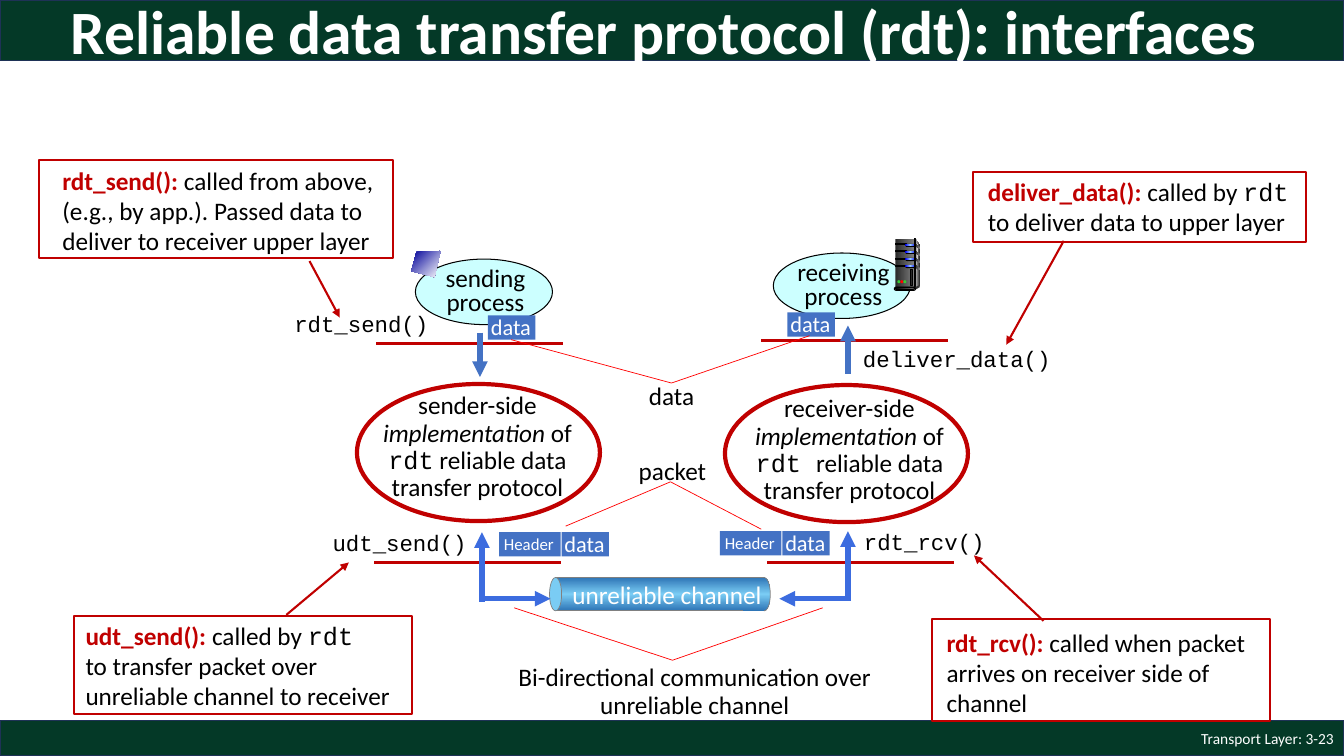
from pptx import Presentation
from pptx.dml.color import RGBColor
from pptx.enum.shapes import MSO_CONNECTOR, MSO_SHAPE as SHAPE
from pptx.enum.text import MSO_ANCHOR as ANCHOR, MSO_AUTO_SIZE, PP_ALIGN as ALIGN
from pptx.oxml.ns import qn
from pptx.util import Inches, Pt
from lxml.etree import SubElement

C = dict(green="043927", navy="1E3256", red="C00000", thin="FF0000", blue="4472C4",
         arrow="3C6CDF", cyan="CCFFFF", sky="7ACCF4", deep="2E75B6", black="000000",
         white="FFFFFF", gray="808080", coal="292929", dark="333333", light="DDDDDD",
         pale="F8F8F8", lamp="33CC33", led="0000FF", shine="99CCFF", ink="000099")

# Content: runs are (text, style), style b = red bold, i = italic, m = monospace
TITLE = "Reliable data transfer protocol (rdt): interfaces"
FOOTER = "Transport Layer: 3-23"
PROCESSES = [(4.12, 2.57, "sending process"), (7.67, 2.51, "receiving process")]
PROTOCOLS = [  # ellipse corner, text corner, side, mono run, rest
    (3.54, 3.81, 3.64, 3.85, "sender-side", "rdt", " reliable data transfer protocol"),
    (7.19, 3.82, 7.33, 3.88, "receiver-side", "rdt ", "reliable data transfer protocol"),
]
CALLS = [(2.82, 3.03, 1.85, "rdt_send()"), (3.2, 5.2, 1.85, "udt_send()"),
         (8.47, 5.19, 1.85, "rdt_rcv()"), (8.46, 3.38, 2.12, "deliver_data()")]
DATA_CHIPS = [(4.84, 3.13), (7.81, 3.1), (5.57, 5.28), (7.76, 5.27)]
HEADER_CHIPS = [(4.95, 5.28), (7.14, 5.27)]
LAYER_LINES = [(3.73, 3.41), (7.55, 3.38), (3.71, 5.58), (7.61, 5.58)]
DATA_ARROWS = [(4.76, 3.3, 4.76, 3.74), (8.41, 3.71, 8.41, 3.23)]
CHANNEL_ARROWS = [(4.78, 5.97, 4.78, 5.28), (4.77, 5.94, 5.46, 5.94),
                  (8.42, 5.94, 7.73, 5.94), (8.41, 5.96, 8.41, 5.27)]
CALLOUTS = [  # frame, text box, arrow, paragraphs
    ((0.39, 1.59, 3.51, 0.97), (0.52, 1.59, 3.29, 1.01), (3.07, 2.59, 3.37, 3.15),
     [[("rdt_send(): ", "b"),
       ("called from above, (e.g., by app.). Passed data to deliver to receiver upper layer", "")]]),
    ((0.73, 6.11, 3.36, 0.97), (0.75, 6.1, 3.26, 1), (2.84, 6.1, 3.46, 5.58),
     [[("udt_send(): ", "b"), ("called by ", ""), ("rdt", "m")],
      [("to transfer packet over", "")], [("unreliable channel to receiver", "")]]),
    ((9.24, 6.14, 3.36, 1.01), (9.29, 6.17, 3.36, 1.01), (10.35, 6.16, 9.66, 5.51),
     [[("rdt_rcv(): ", "b"), ("called when packet arrives on receiver side of channel", "")]]),
    ((9.65, 1.71, 3.3, 0.69), (9.7, 1.7, 3.3, 0.71), (10.55, 2.39, 9.98, 3.42),
     [[("deliver_data(): ", "b"), ("called by ", ""), ("rdt ", "m"),
       ("to deliver data to upper layer", "")]]),
]
LABELS = [  # text box, text, left end, right end, shared point
    ((4.8, 6.55, 4.18, 0.65), "Bi-directional communication over unreliable channel",
     (5.1, 6.03), (8.16, 6.03), (6.67, 6.55)),
    ((4.57, 3.76, 4.18, 0.37), "data", (5.07, 3.37), (8.03, 3.33), (6.66, 3.8)),
    ((6.05, 4.5, 1.24, 0.37), "packet", (5.61, 5.22), (7.55, 5.25), (6.65, 4.78)),
]

prs = Presentation()
prs.slide_width, prs.slide_height = Inches(13.33), Inches(7.5)
s = prs.slides.add_slide(prs.slide_layouts[5])


def rgb(name):
    return RGBColor.from_string(C[name])


def paint(sp, fill=None, line=None, width=0.75, angle=0):
    """Fill with a colour name, a list of evenly spaced gradient names, or nothing."""
    sp.shadow.inherit = False
    if isinstance(fill, list):
        sp.fill.gradient()
        grad = sp._element.spPr.find(qn("a:gradFill"))
        stops = grad.find(qn("a:gsLst"))
        stops.clear()
        for i, name in enumerate(fill):
            gs = SubElement(stops, qn("a:gs"), pos=str(100000 * i // (len(fill) - 1)))
            SubElement(gs, qn("a:srgbClr"), val=C[name])
        grad.find(qn("a:lin")).set("ang", str(angle * 60000))
    elif fill:
        sp.fill.solid()
        sp.fill.fore_color.rgb = rgb(fill)
    else:
        sp.fill.background()
    if line:
        sp.line.color.rgb = rgb(line)
        sp.line.width = Pt(width)
    else:
        sp.line.fill.background()


def shape(kind, box, *style, **options):
    sp = s.shapes.add_shape(kind, *map(Inches, box))
    if kind == SHAPE.ROUNDED_RECTANGLE:
        sp.adjustments[0] = 0.5
    paint(sp, *style, **options)


def polygon(points, fill, angle=0):
    pts = [(Inches(x), Inches(y)) for x, y in points]
    builder = s.shapes.build_freeform(*pts[0], scale=1.0)
    builder.add_line_segments(pts[1:], close=True)
    paint(builder.convert_to_shape(), fill, angle=angle)


def line(ends, color, width, arrow=False):
    cx = s.shapes.add_connector(MSO_CONNECTOR.STRAIGHT, *map(Inches, ends))
    cx.line.color.rgb = rgb(color)
    cx.line.width = Pt(width)
    if arrow:
        SubElement(cx.line._get_or_add_ln(), qn("a:tailEnd"), type="triangle")
    SubElement(cx._element.spPr, qn("a:effectLst"))


def write(tf, paragraphs, size, color="black", align=ALIGN.LEFT, spacing=None):
    for i, runs in enumerate(paragraphs):
        p = tf.add_paragraph() if i else tf.paragraphs[0]
        p.alignment, p.line_spacing = align, spacing
        for text, style in runs:
            r = p.add_run()
            r.text = text
            r.font.name = "Courier New" if "m" in style else "Calibri"
            r.font.size = Pt(size)
            r.font.bold, r.font.italic = "b" in style, "i" in style
            r.font.color.rgb = rgb("red" if style == "b" else color)


def textbox(box, paragraphs, size, wrap=True, anchor=ANCHOR.TOP, **options):
    if isinstance(paragraphs, str):
        paragraphs = [[(paragraphs, "")]]
    tf = s.shapes.add_textbox(*map(Inches, box)).text_frame
    tf.word_wrap, tf.vertical_anchor = wrap, anchor
    write(tf, paragraphs, size, **options)


def server():
    polygon([(9.08, 2.37), (9.12, 2.43), (9.12, 2.83), (9.07, 2.86)], ["light", "dark"])
    shape(SHAPE.RECTANGLE, (8.88, 2.37, 0.19, 0.49), ["coal", "gray"])
    polygon([(9.08, 2.4), (9.11, 2.44), (9.09, 2.65), (9.08, 2.84)], ["gray", "pale"])
    for i in range(4):  # drive bays
        y = 2.42 + 0.07 * i
        shape(SHAPE.RECTANGLE, (8.88, y, 0.11, 0.01), "black", "black")
        shape(SHAPE.ROUNDED_RECTANGLE, (8.98, y, 0.1, 0.03), "black")
        shape(SHAPE.ROUNDED_RECTANGLE, (8.98, y, 0.1, 0.02), ["led", "shine", "led"])
        polygon([(9.08, y), (9.12, y + 0.03), (9.12, y + 0.05), (9.08, y + 0.02)],
                ["coal", "gray"])
    shape(SHAPE.RECTANGLE, (9.07, 2.37, 0.01, 0.49), ["dark", "light", "dark"], "black")
    shape(SHAPE.OVAL, (9.11, 2.83, 0.01, 0.02), "dark")
    polygon([(9.07, 2.85), (9.07, 2.88), (9.12, 2.85), (9.12, 2.83)], "dark")
    shape(SHAPE.ROUNDED_RECTANGLE, (8.87, 2.85, 0.21, 0.03), "light", "black")
    shape(SHAPE.ROUNDED_RECTANGLE, (8.88, 2.85, 0.19, 0.02), ["black", "gray"], "black")
    for i, name in enumerate(["lamp", "thin", "lamp"]):
        shape(SHAPE.OVAL, (8.9 + 0.03 * i, 2.78, 0.03, 0.03), name)
    shape(SHAPE.RECTANGLE, (9.03, 2.67, 0.02, 0.16), "coal", "black")


# Bars and footer
for y, h in [(0, 0.6), (7.15, 0.35)]:
    shape(SHAPE.RECTANGLE, (0, y, 13.33, h), "green", "navy", 1)
textbox((10.33, 7.15, 3, 0.35), FOOTER, 11, anchor=ANCHOR.MIDDLE, color="white",
        align=ALIGN.RIGHT)

# Processes with their computers
for x, y, name in PROCESSES:
    shape(SHAPE.OVAL, (x, y, 1.36, 0.65), "cyan", "black")
    textbox((x + 0.09, y + 0.04, 1.21, 0.59), name, 18, align=ALIGN.CENTER, spacing=0.8)
polygon([(4.37, 2.49), (4.13, 2.5), (4.08, 2.69), (4.31, 2.75)], ["ink", "white"], angle=45)
server()

# Layer boundaries
for x, y in LAYER_LINES:
    line((x, y, x + 1.85, y), "red", 1.75)

# Unreliable channel
tube = ["deep", "sky", "deep"]
shape(SHAPE.RECTANGLE, (5.51, 5.73, 2.07, 0.33), tube, "gray", 0.5, angle=270)
shape(SHAPE.OVAL, (5.45, 5.73, 0.12, 0.33), "sky", "gray", 0.5)
shape(SHAPE.OVAL, (7.52, 5.73, 0.12, 0.33), tube, "gray", 0.5, angle=270)
shape(SHAPE.RECTANGLE, (7.37, 5.73, 0.21, 0.33), tube, angle=270)
textbox((5.58, 5.7, 2.1, 0.4), "unreliable channel", 18, wrap=False, color="white")

# Protocol text, arrows and calls
for _, _, x, y, side, mono, rest in PROTOCOLS:
    textbox((x, y, 2.19, 1.19),
            [[(side, "")], [("implementation", "i"), (" of ", ""), (mono, "m"), (rest, "")]],
            18, align=ALIGN.CENTER, spacing=0.9)
for ends in DATA_ARROWS:
    line(ends, "blue", 3.75, arrow=True)
for ends in CHANNEL_ARROWS:
    line(ends, "arrow", 3.75, arrow=True)
for x, y, w, name in CALLS:
    textbox((x, y, w, 0.37), [[(name, "m")]], 16)

# Data and header chips
for x, y in DATA_CHIPS:
    shape(SHAPE.RECTANGLE, (x, y, 0.47, 0.24), "blue")
    textbox((x - 0.07, y - 0.07, 0.63, 0.37), "data", 16, color="white")
for x, y in HEADER_CHIPS:
    shape(SHAPE.RECTANGLE, (x, y, 0.61, 0.24), "blue")
    textbox((x - 0.05, y - 0.03, 0.75, 0.3), "Header", 12, color="white")

# Callouts
for frame, box, arrow, paragraphs in CALLOUTS:
    textbox(box, paragraphs, 18)
    line(arrow, "red", 1.5, arrow=True)
    shape(SHAPE.RECTANGLE, frame, None, "red", 1.5)

# Labels with pointer lines
for box, text, left, right, point in LABELS:
    textbox(box, text, 18, align=ALIGN.CENTER, spacing=0.9)
    for end in (left, right):
        line(end + point, "thin", 0.5)

# Protocol outlines
for x, y, *_ in PROTOCOLS:
    shape(SHAPE.OVAL, (x, y, 2.41, 1.36), None, "red", 3)

# Title, in front of the top bar
title = s.shapes.title
title.left, title.top, title.width, title.height = map(Inches, (0.6, -0.15, 12.14, 0.98))
title.text_frame.auto_size = MSO_AUTO_SIZE.NONE
title.text_frame.vertical_anchor = ANCHOR.MIDDLE
write(title.text_frame, [[(TITLE, "b ")]], 44, "white", spacing=0.9)
s.shapes._spTree.append(title._element)

prs.save("out.pptx")
